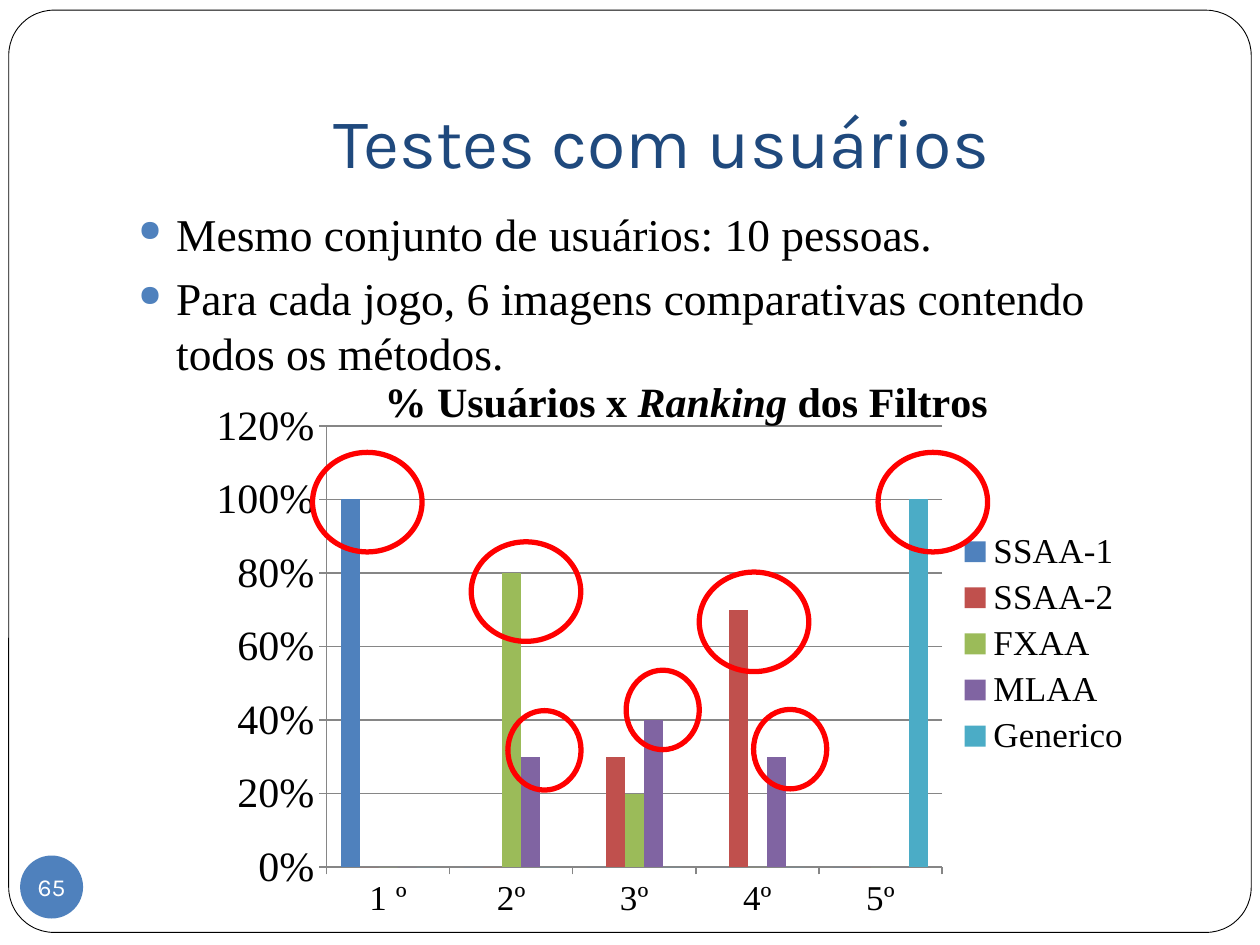
from lxml.etree import SubElement
from pptx import Presentation
from pptx.chart.data import CategoryChartData
from pptx.dml.color import RGBColor
from pptx.enum.chart import XL_CHART_TYPE, XL_LEGEND_POSITION, XL_TICK_MARK
from pptx.enum.shapes import MSO_SHAPE
from pptx.enum.text import MSO_ANCHOR, PP_ALIGN
from pptx.oxml import parse_xml
from pptx.oxml.ns import nsdecls, qn
from pptx.util import Pt

COLORS = {
    "paper": "FFFFFF", "ink": "000000", "title": "1F497D", "accent": "4F81BD",
    "highlight": "FF0000", "grid": "868686",
    "SSAA-1": "4F81BD", "SSAA-2": "C0504D", "FXAA": "9BBB59",
    "MLAA": "8064A2", "Generico": "4BACC6",
}
HEADING_FONT, BODY_FONT = "Karla", "Times New Roman"

TITLE = "Testes com usuários"
PAGE_NUMBER = "65"
BULLETS = [
    "Mesmo conjunto de usuários: 10 pessoas.",
    "Para cada jogo, 6 imagens comparativas contendo todos os métodos.",
]
CHART_TITLE = [("% Usuários x ", False), ("Ranking", True), (" dos Filtros", False)]
RANKS = ["1 º", "2º", "3º", "4º", "5º"]
USER_SHARE = {
    "SSAA-1": [1, 0, 0, 0, 0],
    "SSAA-2": [0, 0, 0.3, 0.7, 0],
    "FXAA": [0, 0.8, 0.2, 0, 0],
    "MLAA": [0, 0.3, 0.4, 0.3, 0],
    "Generico": [0, 0, 0, 0, 1],
}
# Fractions of the chart frame
PLOT_LAYOUT = {"x": 0.122, "y": 0.098, "w": 0.66, "h": 0.814}
CHART_TITLE_LAYOUT = {"x": 0.18, "y": 0}

# (width, height) of the rings, then the (left, top) of each
RINGS = {
    (62.6, 56.9): [(178.6, 258.5), (501.8, 258.5), (269.3, 309.6), (399.6, 326.9)],
    (41.8, 45.4): [(290.2, 406.1), (357.8, 383), (430.6, 405.4)],
}


def rgb(name):
    return RGBColor.from_string(COLORS[name])


def style_font(font, size, color="ink", family=BODY_FONT, bold=False, italic=False):
    font.size, font.name, font.bold, font.italic = Pt(size), family, bold, italic
    font.color.rgb = rgb(color)


def add_bullet(paragraph, indent):
    props = paragraph._p.get_or_add_pPr()
    props.set("marL", str(Pt(indent)))
    props.set("indent", str(-Pt(indent)))
    color = SubElement(props, qn("a:buClr"))
    SubElement(color, qn("a:srgbClr"), val=COLORS["accent"])
    SubElement(props, qn("a:buSzPct"), val="65000")
    SubElement(props, qn("a:buChar"), char="●")


def write(frame, lines, *, size, color="ink", family=BODY_FONT, align=PP_ALIGN.LEFT,
          anchor=MSO_ANCHOR.TOP, margins=(7.2, 3.6, 7.2, 3.6), wrap=True,
          bullet_indent=0, gap=0):
    frame.word_wrap, frame.vertical_anchor = wrap, anchor
    (frame.margin_left, frame.margin_top,
     frame.margin_right, frame.margin_bottom) = map(Pt, margins)
    for index, line in enumerate(lines):
        paragraph = frame.paragraphs[0] if index == 0 else frame.add_paragraph()
        paragraph.alignment = align
        if index:
            paragraph.space_before = Pt(gap)
        if bullet_indent:
            add_bullet(paragraph, bullet_indent)
        run = paragraph.add_run()
        run.text = line
        style_font(run.font, size, color, family)


def add_outline(slide, preset, box, fill=None, line=None, width=0):
    """Add a preset shape with no shadow and optional fill and line."""
    shape = slide.shapes.add_shape(preset, *map(Pt, box))
    shape.shadow.inherit = False
    if fill:
        shape.fill.solid()
        shape.fill.fore_color.rgb = rgb(fill)
    else:
        shape.fill.background()
    if line:
        shape.line.color.rgb = rgb(line)
        shape.line.width = Pt(width)
    else:
        shape.line.fill.background()
    return shape


def place(part, position, layout, target=""):
    """Give a chart part a fixed layout, as its child at the given position."""
    for old_layout in part.findall(qn("c:layout")):
        part.remove(old_layout)
    modes = "".join(f'<c:{side}Mode val="edge"/>' for side in "xy")
    values = "".join(f'<c:{key} val="{value}"/>' for key, value in layout.items())
    part.insert(position, parse_xml(
        f'<c:layout {nsdecls("c")}><c:manualLayout>{target}{modes}{values}'
        "</c:manualLayout></c:layout>"))


def add_ranking_chart(slide):
    data = CategoryChartData(number_format="0%")
    data.categories = RANKS
    for method, shares in USER_SHARE.items():
        data.add_series(method, shares)
    chart = slide.shapes.add_chart(
        XL_CHART_TYPE.COLUMN_CLUSTERED, Pt(121.7), Pt(213.1), Pt(532.8), Pt(311.8),
        data).chart
    style_font(chart.font, 10)

    heading = chart.chart_title.text_frame.paragraphs[0]
    for words, italic in CHART_TITLE:
        run = heading.add_run()
        run.text = words
        style_font(run.font, 24, bold=True, italic=italic)
    title = chart.element.find(".//" + qn("c:title"))
    title.find(qn("c:overlay")).set("val", "1")
    place(title, 1, CHART_TITLE_LAYOUT)

    chart.has_legend = True
    chart.legend.position = XL_LEGEND_POSITION.RIGHT
    chart.legend.include_in_layout = True
    style_font(chart.legend.font, 20)

    for axis, size in ((chart.category_axis, 20), (chart.value_axis, 24)):
        style_font(axis.tick_labels.font, size)
        axis.major_tick_mark = XL_TICK_MARK.OUTSIDE
        axis.format.line.color.rgb = rgb("grid")
    shares = chart.value_axis
    shares.minimum_scale, shares.maximum_scale, shares.major_unit = 0, 1.2, 0.2
    shares.tick_labels.number_format = "0%"
    shares.tick_labels.number_format_is_linked = False
    shares.major_gridlines.format.line.color.rgb = rgb("grid")

    plot = chart.plots[0]
    plot.gap_width, plot.overlap, plot.vary_by_categories = 150, 0, False
    for series in plot.series:
        series.format.fill.solid()
        series.format.fill.fore_color.rgb = rgb(series.name)
    place(chart.element.find(".//" + qn("c:plotArea")), 0, PLOT_LAYOUT,
          target='<c:layoutTarget val="inner"/>')


def main():
    deck = Presentation()
    deck.slide_width, deck.slide_height = Pt(720), Pt(540)
    slide = deck.slides.add_slide(deck.slide_layouts[6])

    frame = add_outline(slide, MSO_SHAPE.ROUNDED_RECTANGLE, (5, 5.8, 710, 527),
                        "paper", "ink", 0.5)
    frame.adjustments[0] = 0.049

    title = slide.shapes.add_textbox(Pt(72), Pt(21.6), Pt(612), Pt(90))
    write(title.text_frame, [TITLE], size=40, color="title", family=HEADING_FONT,
          align=PP_ALIGN.CENTER, anchor=MSO_ANCHOR.BOTTOM, margins=(7.2, 3.6, 7.2, 7.2))

    badge = add_outline(slide, MSO_SHAPE.OVAL, (11.5, 488.9, 36, 36), "accent")
    write(badge.text_frame, [PAGE_NUMBER], size=14, color="paper", family=HEADING_FONT,
          align=PP_ALIGN.CENTER, anchor=MSO_ANCHOR.MIDDLE, margins=(0, 0, 0, 0),
          wrap=False)

    body = slide.shapes.add_textbox(Pt(72), Pt(114), Pt(612), Pt(360))
    write(body.text_frame, BULLETS, size=26, bullet_indent=21.6, gap=5.8)

    add_ranking_chart(slide)
    for size, corners in RINGS.items():
        for corner in corners:
            add_outline(slide, MSO_SHAPE.OVAL, corner + size, line="highlight", width=3)

    deck.save("out.pptx")


if __name__ == "__main__":
    main()
